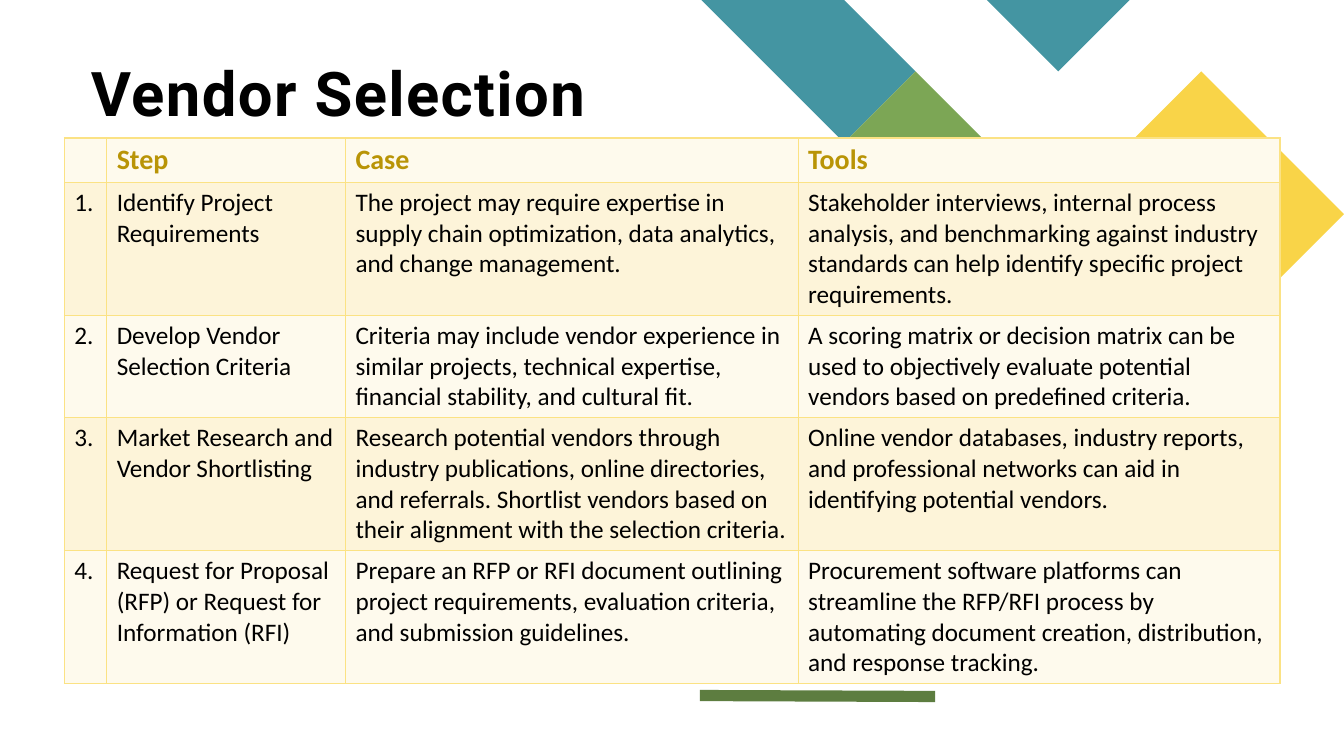
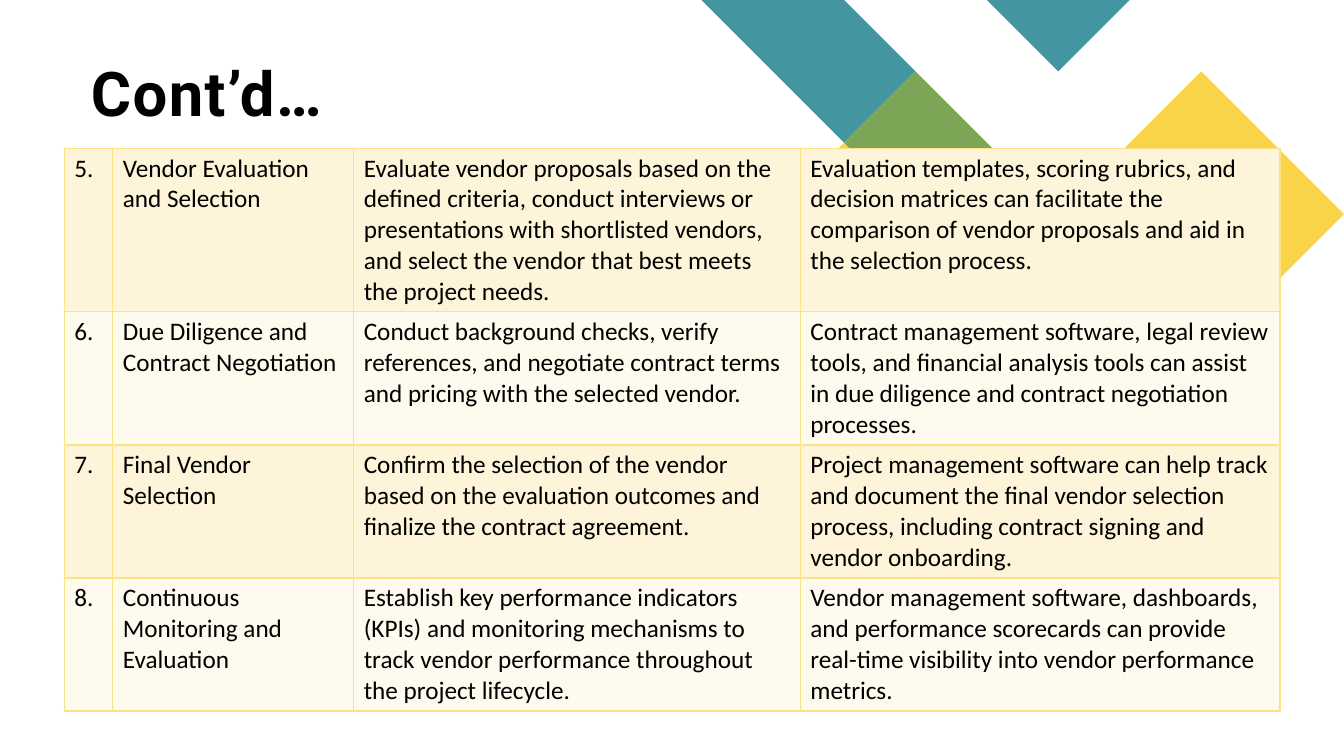
from dataclasses import dataclass

from lxml import etree
from pptx import Presentation
from pptx.dml.color import RGBColor
from pptx.enum.shapes import MSO_CONNECTOR
from pptx.enum.text import MSO_ANCHOR
from pptx.oxml.ns import qn
from pptx.util import Pt

STRAIGHT = MSO_CONNECTOR.STRAIGHT
BOTTOM = MSO_ANCHOR.BOTTOM


@dataclass(frozen=True)
class Theme:
    teal: str = "4495A2"
    yellow: str = "F9D448"
    green: str = "7CA655"
    dark_green: str = "5D7D40"
    black: str = "000000"
    gold: str = "B99406"
    border: str = "FBE284"
    light: str = "FEFAED"
    band: str = "FDF4D9"
    heading_font: str = "Roboto"
    body_font: str = "Calibri"
    title_size: float = 44
    header_size: float = 20
    body_size: float = 18


T = Theme()
TITLE = dict(name=T.heading_font, size=Pt(T.title_size), bold=True)
HEADER = dict(name=T.body_font, size=Pt(T.header_size), bold=True)
BODY = dict(name=T.body_font, size=Pt(T.body_size), bold=False)

GRID = 51
GRID_LEFT = 501
TABLE_LEFT = 46
LINE_HEIGHT = 1.22
CELL_PADDING = 7.2

RIBBONS = [
    (T.teal, [[(3, 1), (2, 0), (0, 0), (2, 2)],
              [(6, 4), (5, 3), (4, 4), (5, 5)]]),
    (T.yellow, [[(2, 2), (1, 3), (3, 5), (4, 4)]]),
    (T.teal, [[(6, 0), (4, 0), (5, 1)]]),
    (T.green, [[(3, 1), (2, 2), (4, 4), (5, 3)]]),
    (T.yellow, [[(9, 3), (7, 1), (5, 3), (7, 5)]]),
]

COLUMN_TITLES = ["", "Step", "Case", "Tools"]
FIRST_STEPS = [
    ("Identify Project Requirements",
     "The project may require expertise in supply chain optimization, data "
     "analytics, and change management.",
     "Stakeholder interviews, internal process analysis, and benchmarking "
     "against industry standards can help identify specific project "
     "requirements."),
    ("Develop Vendor Selection Criteria",
     "Criteria may include vendor experience in similar projects, technical "
     "expertise, financial stability, and cultural fit.",
     "A scoring matrix or decision matrix can be used to objectively evaluate "
     "potential vendors based on predefined criteria."),
    ("Market Research and Vendor Shortlisting",
     "Research potential vendors through industry publications, online "
     "directories, and referrals. Shortlist vendors based on their alignment "
     "with the selection criteria.",
     "Online vendor databases, industry reports, and professional networks "
     "can aid in identifying potential vendors."),
    ("Request for Proposal (RFP) or Request for Information (RFI)",
     "Prepare an RFP or RFI document outlining project requirements, "
     "evaluation criteria, and submission guidelines.",
     "Procurement software platforms can streamline the RFP/RFI process by "
     "automating document creation, distribution, and response tracking."),
]
LATER_STEPS = [
    ("Vendor Evaluation and Selection",
     "Evaluate vendor proposals based on the defined criteria, conduct "
     "interviews or presentations with shortlisted vendors, and select the "
     "vendor that best meets the project needs.",
     "Evaluation templates, scoring rubrics, and decision matrices can "
     "facilitate the comparison of vendor proposals and aid in the selection "
     "process."),
    ("Due Diligence and Contract Negotiation",
     "Conduct background checks, verify references, and negotiate contract "
     "terms and pricing with the selected vendor.",
     "Contract management software, legal review tools, and financial "
     "analysis tools can assist in due diligence and contract negotiation "
     "processes."),
    ("Final Vendor Selection",
     "Confirm the selection of the vendor based on the evaluation outcomes "
     "and finalize the contract agreement.",
     "Project management software can help track and document the final "
     "vendor selection process, including contract signing and vendor "
     "onboarding."),
    ("Continuous Monitoring and Evaluation",
     "Establish key performance indicators (KPIs) and monitoring mechanisms "
     "to track vendor performance throughout the project lifecycle.",
     "Vendor management software, dashboards, and performance scorecards can "
     "provide real-time visibility into vendor performance metrics."),
]


def rgb(value):
    return RGBColor.from_string(value)


def set_attrs(obj, values):
    for name, value in values.items():
        setattr(obj, name, value)


def add_run(p, text, fmt, color):
    r = p.add_run()
    r.text = text
    set_attrs(r.font, fmt)
    r.font.color.rgb = rgb(color)
    return r


def add_ribbon(s, color, contours):
    (x, y), *rest = contours[0]
    builder = s.shapes.build_freeform(x, y, scale=float(Pt(GRID)))
    builder.add_line_segments(rest, close=True)
    for start, *points in contours[1:]:
        builder.move_to(*start)
        builder.add_line_segments(points, close=True)
    sp = builder.convert_to_shape(Pt(GRID_LEFT), Pt(0))
    sp.shadow.inherit = False
    sp.fill.solid()
    sp.fill.fore_color.rgb = rgb(color)
    sp.line.fill.background()


def add_accent_line(s):
    line = s.shapes.add_connector(
        STRAIGHT, Pt(500), Pt(496.8), Pt(668), Pt(497.5))
    line.line.color.rgb = rgb(T.dark_green)
    line.line.width = Pt(8)
    etree.SubElement(line._element.spPr, qn("a:effectLst"))


def add_title(s, text):
    sp = s.shapes.add_textbox(Pt(65), Pt(32), Pt(518), Pt(60))
    tf = sp.text_frame
    set_attrs(tf, dict(word_wrap=True, vertical_anchor=BOTTOM, margin_left=0,
                       margin_top=0, margin_right=0, margin_bottom=0))
    p = tf.paragraphs[0]
    p.line_spacing = 0.8
    r = add_run(p, text, TITLE, T.black)
    r.font._element.set("spc", "100")


def set_borders(cell):
    tc_pr = cell._tc.get_or_add_tcPr()
    for side in ("lnL", "lnR", "lnT", "lnB"):
        ln = etree.SubElement(tc_pr, qn(f"a:{side}"), w=str(Pt(1)))
        fill = etree.SubElement(ln, qn("a:solidFill"))
        etree.SubElement(fill, qn("a:srgbClr"), val=T.border)


def fill_cell(cell, text, fmt, color, background):
    set_borders(cell)
    cell.fill.solid()
    cell.fill.fore_color.rgb = rgb(background)
    if text:
        add_run(cell.text_frame.paragraphs[0], text, fmt, color)


def add_step_table(s, top, widths, steps, line_counts, first, header=None):
    rows = [(header, HEADER, T.gold, T.light, 1)] if header else []
    for i, (step, lines) in enumerate(zip(steps, line_counts)):
        background = T.light if i % 2 else T.band
        rows.append(((f"{first + i}.", *step), BODY, T.black, background, lines))
    heights = [Pt(CELL_PADDING) + int(lines * LINE_HEIGHT * fmt["size"])
               for _, fmt, _, _, lines in rows]
    table = s.shapes.add_table(
        len(rows), len(widths), Pt(TABLE_LEFT), Pt(top),
        Pt(sum(widths)), sum(heights)).table
    set_attrs(table, dict(first_row=bool(header), horz_banding=False))
    for column, width in zip(table.columns, widths):
        column.width = Pt(width)
    for row, height, (texts, fmt, color, background, _) in zip(
            table.rows, heights, rows):
        row.height = height
        for cell, text in zip(row.cells, texts):
            fill_cell(cell, text, fmt, color, background)


def add_slide(prs, title):
    s = prs.slides.add_slide(prs.slide_layouts[6])
    for color, contours in RIBBONS:
        add_ribbon(s, color, contours)
    add_accent_line(s)
    add_title(s, title)
    return s


def main():
    prs = Presentation()
    set_attrs(prs, dict(slide_width=Pt(960), slide_height=Pt(540)))
    s = add_slide(prs, "Vendor Selection")
    add_step_table(s, 98.6, [30.2, 170.6, 323.3, 344.2], FIRST_STEPS,
                   [4, 3, 4, 4], 1, COLUMN_TITLES)
    s = add_slide(prs, "Cont’d…")
    add_step_table(s, 105.8, [34.6, 172.1, 319, 342.7], LATER_STEPS,
                   [5, 4, 4, 4], len(FIRST_STEPS) + 1)
    prs.save("out.pptx")


if __name__ == "__main__":
    main()
